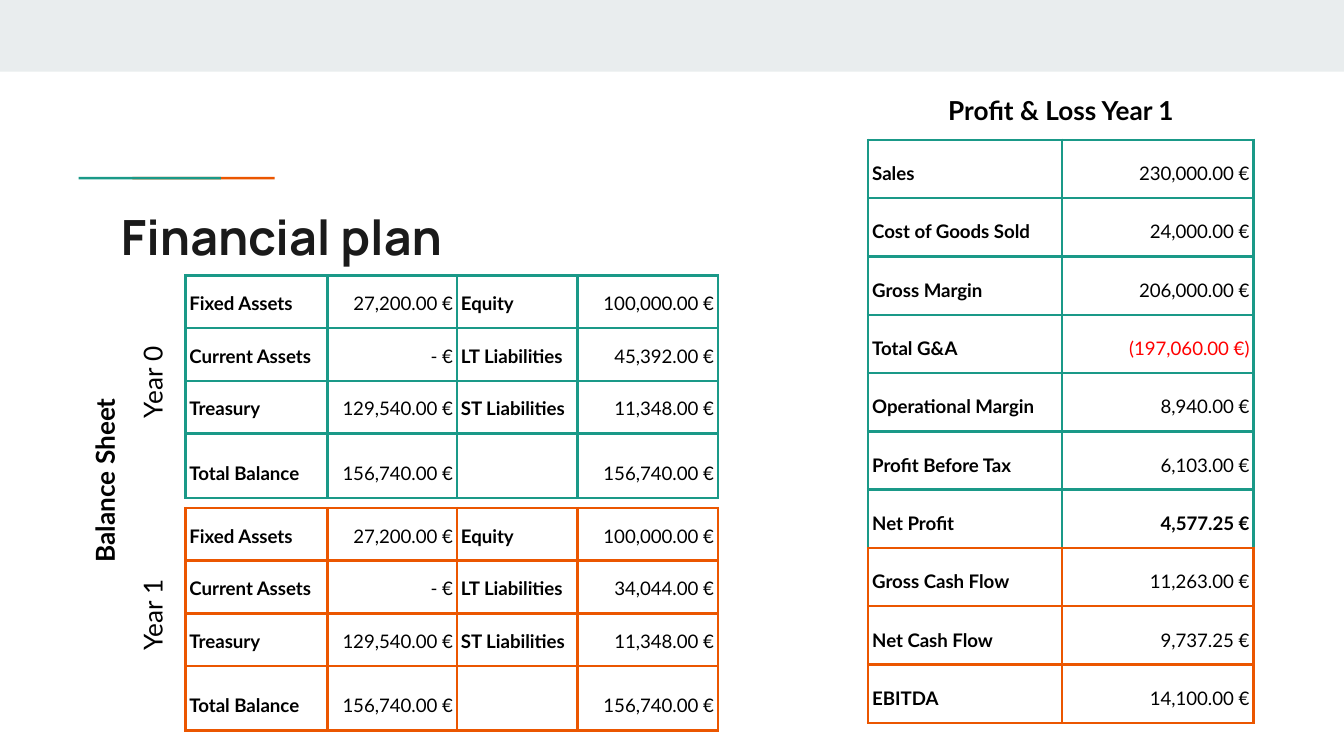
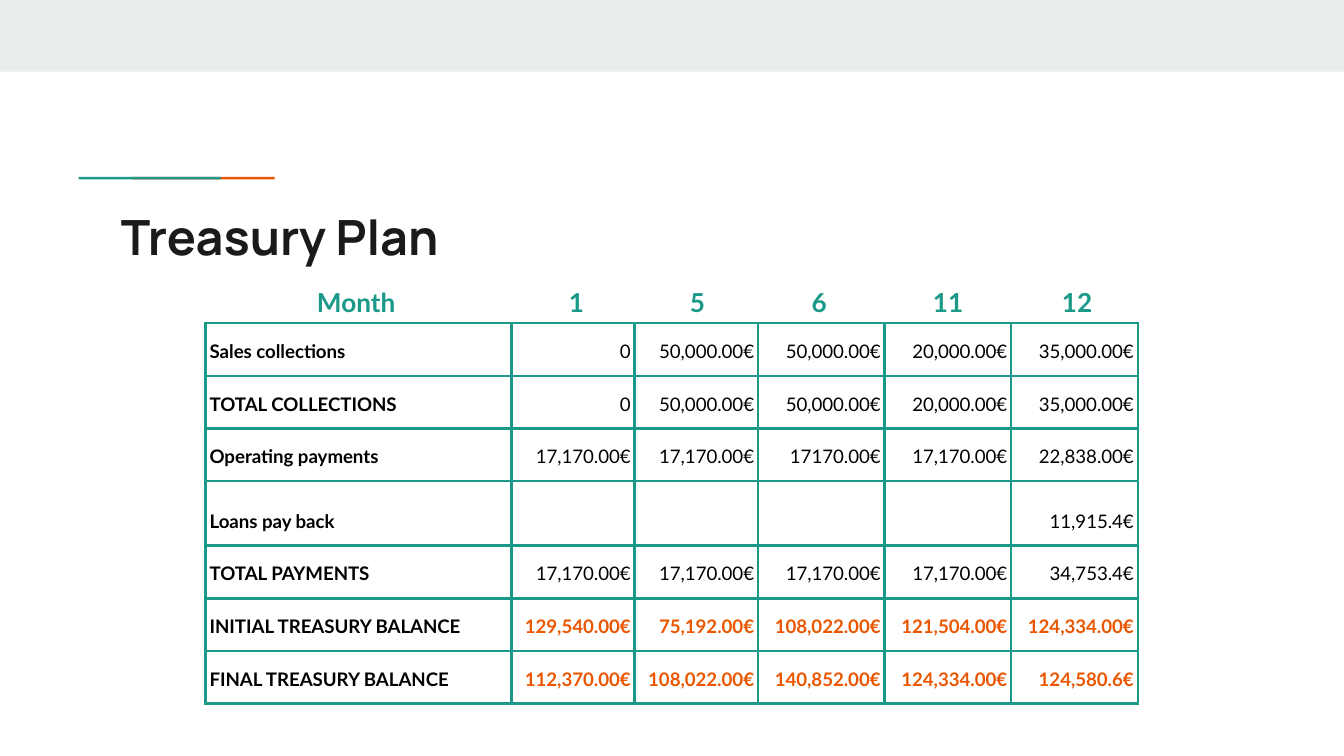
from dataclasses import dataclass

from lxml.etree import SubElement
from pptx import Presentation
from pptx.dml.color import RGBColor
from pptx.enum.shapes import MSO_SHAPE as Shape
from pptx.enum.text import MSO_ANCHOR as Anchor, MSO_AUTO_SIZE as AutoSize, PP_ALIGN as Align
from pptx.oxml.ns import qn
from pptx.util import Inches, Pt


@dataclass(frozen=True)
class Theme:
    band: str = "E9EDEE"
    teal: str = "1A9988"
    orange: str = "EB5600"
    red: str = "FF0000"
    ink: str = "000000"
    heading: str = "1A1A1A"
    heading_font: str = "Manrope"
    body_font: str = "Lato"
    heading_size: int = 26
    label_size: int = 14
    cell_size: int = 10
    border: float = 1.5


class Deck:
    COLUMNS = 100
    TITLE_ONLY = 5

    def __init__(self, theme):
        self.theme = theme
        self.show = Presentation()
        self.show.slide_width = Inches(10)
        self.show.slide_height = self.show.slide_width * 9 // 16
        self.page = None

    def grid(self, *cells):
        return [round(self.show.slide_width * cell / self.COLUMNS) for cell in cells]

    def style(self, para, size, color, bold=False, align=Align.LEFT, face=None):
        para.alignment = align
        font = para.font
        font.name = face or self.theme.body_font
        font.size = Pt(size)
        font.bold = bold
        font.color.rgb = RGBColor.from_string(color)

    def frame(self, box, text):
        frame = box.text_frame
        frame.word_wrap = True
        frame.auto_size = AutoSize.NONE
        frame.vertical_anchor = Anchor.TOP
        inset, = self.grid(1)
        frame.margin_left = frame.margin_right = inset
        frame.margin_top = frame.margin_bottom = inset
        frame.text = text
        return frame.paragraphs[0]

    def bar(self, left, top, width, height, color, turn=0):
        bar = self.page.shapes.add_shape(Shape.RECTANGLE, *self.grid(left, top, width, height))
        bar.rotation = turn
        bar.shadow.inherit = False
        bar.fill.solid()
        bar.fill.fore_color.rgb = RGBColor.from_string(color)
        bar.line.fill.background()

    def start_page(self, heading):
        theme = self.theme
        self.page = self.show.slides.add_slide(self.show.slide_layouts[self.TITLE_ONLY])
        self.bar(0, 0, self.COLUMNS, 5.33, theme.band)
        for left, color in ((15.05, theme.orange), (11.05, theme.teal)):
            self.bar(left, 7.95, 0.2, 10.6, color, turn=270)
        title = self.page.shapes.title
        title.left, title.top, title.width, title.height = self.grid(8, 14.4, 84.1, 5.9)
        para = self.frame(title, heading)
        self.style(para, theme.heading_size, theme.heading, True, face=theme.heading_font)

    def label(self, text, left, top, width, height=3.5, color=None, bold=True, turn=0):
        box = self.page.shapes.add_textbox(*self.grid(left, top, width, height))
        box.rotation = turn
        para = self.frame(box, text)
        self.style(para, self.theme.label_size, color or self.theme.ink, bold, Align.CENTER)

    def outline(self, cell, color, bottom):
        properties = cell._tc.get_or_add_tcPr()
        for side in ("lnL", "lnR", "lnT", "lnB"):
            line = SubElement(properties, qn(f"a:{side}"), w=str(Pt(self.theme.border)))
            fill = SubElement(line, qn("a:solidFill"))
            SubElement(fill, qn("a:srgbClr"), val=bottom if side == "lnB" else color)

    def table(self, left, top, widths, heights, rows, borders, labels=(0,), accents=None):
        accents = accents or {}
        spot = self.grid(left, top, sum(widths), sum(heights))
        table = self.page.shapes.add_table(len(rows), len(widths), *spot).table
        table.first_row = table.horz_banding = False
        for column, width in zip(table.columns, self.grid(*widths)):
            column.width = width
        for row, height in zip(table.rows, self.grid(*heights)):
            row.height = height
        for r, texts in enumerate(rows):
            bottom = borders[min(r + 1, len(rows) - 1)]
            for c, text in enumerate(texts):
                cell = table.cell(r, c)
                is_label = c in labels
                color, bold = accents.get((r, c), (self.theme.ink, is_label))
                self.outline(cell, borders[r], bottom)
                cell.fill.background()
                cell.vertical_anchor = Anchor.BOTTOM
                cell.margin_left, cell.margin_top = self.grid(0.3, 1)
                cell.margin_right, cell.margin_bottom = self.grid(0.3, 1)
                cell.text = text
                para = cell.text_frame.paragraphs[0]
                para.line_spacing = 1.15
                align = Align.LEFT if is_label else Align.RIGHT
                self.style(para, self.theme.cell_size, color, bold, align)


def balance_rows(long_term):
    return [
        ("Fixed Assets", "27,200.00 €", "Equity", "100,000.00 €"),
        ("Current Assets", "- €", "LT Liabilities", long_term),
        ("Treasury", "129,540.00 €", "ST Liabilities", "11,348.00 €"),
        ("Total Balance", "156,740.00 €", "", "156,740.00 €"),
    ]


PROFIT_AND_LOSS = [
    ("Sales", "230,000.00 €"),
    ("Cost of Goods Sold", "24,000.00 €"),
    ("Gross Margin", "206,000.00 €"),
    ("Total G&A", "(197,060.00 €)"),
    ("Operational Margin", "8,940.00 €"),
    ("Profit Before Tax", "6,103.00 €"),
    ("Net Profit", "4,577.25 €"),
    ("Gross Cash Flow", "11,263.00 €"),
    ("Net Cash Flow", "9,737.25 €"),
    ("EBITDA", "14,100.00 €"),
]

TREASURY = [
    ("Sales collections", "0", "50,000.00€", "50,000.00€", "20,000.00€", "35,000.00€"),
    ("TOTAL COLLECTIONS", "0", "50,000.00€", "50,000.00€", "20,000.00€", "35,000.00€"),
    ("Operating payments", "17,170.00€", "17,170.00€", "17170.00€", "17,170.00€", "22,838.00€"),
    ("Loans pay back", "", "", "", "", "11,915.4€"),
    ("TOTAL PAYMENTS", "17,170.00€", "17,170.00€", "17,170.00€", "17,170.00€", "34,753.4€"),
    ("INITIAL TREASURY BALANCE", "129,540.00€", "75,192.00€", "108,022.00€", "121,504.00€",
     "124,334.00€"),
    ("FINAL TREASURY BALANCE", "112,370.00€", "108,022.00€", "140,852.00€", "124,334.00€",
     "124,580.6€"),
]

ROW, TALL_ROW = 3.9, 4.8


def financial_plan(deck):
    theme = deck.theme
    deck.start_page("Financial plan")
    years = [
        ("Year 0", 20.5, "45,392.00 €", theme.teal),
        ("Year 1", 37.8, "34,044.00 €", theme.orange),
    ]
    for year, top, long_term, color in years:
        deck.table(13.8, top, [10.57, 9.63, 8.97, 10.45], [ROW] * 3 + [TALL_ROW],
                   balance_rows(long_term), [color] * 4, labels=(0, 2))
        deck.label(year, 4.4, top + 6.2, 13, bold=False, turn=270)
    deck.label("Balance Sheet", -7, 34, 28.7, turn=270)

    deck.table(64.6, 10.4, [14.42, 14.25], [4.34] * 10, PROFIT_AND_LOSS,
               [theme.teal] * 7 + [theme.orange] * 3,
               accents={(3, 1): (theme.red, False), (6, 1): (theme.ink, True)})
    deck.label("Profit & Loss Year 1", 64.6, 6.05, 28.7)


def treasury_plan(deck):
    theme = deck.theme
    deck.start_page("Treasury Plan")
    balances = {(r, c): (theme.orange, True) for r in (5, 6) for c in range(1, 6)}
    deck.table(15.3, 24.05, [22.75] + [9.18] * 2 + [9.42] * 3,
               [ROW] * 3 + [TALL_ROW] + [ROW] * 3, TREASURY, [theme.teal] * 7, accents=balances)
    deck.label("Month", 18.75, 20.3, 15.5, 3.8, theme.teal)
    for month, left in zip((1, 5, 6, 11, 12), (39.25, 48.25, 57.3, 66.9, 76.5)):
        deck.label(str(month), left, 20.3, 7.3, 3.8, theme.teal)


def main():
    deck = Deck(Theme())
    financial_plan(deck)
    treasury_plan(deck)
    deck.show.save("out.pptx")


if __name__ == "__main__":
    main()
